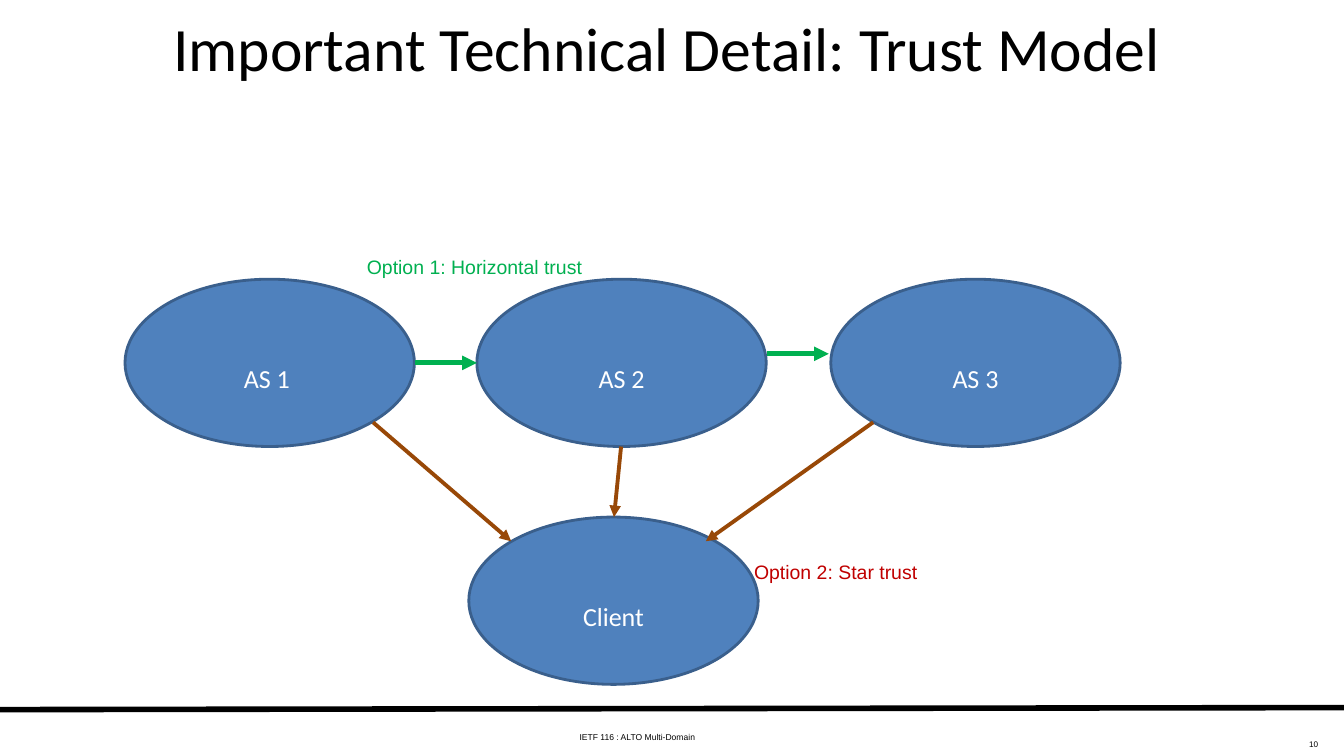
"""Build the trust model slide: three AS domains and a client."""
from typing import NamedTuple

from lxml import etree
from pptx import Presentation
from pptx import util as u
from pptx.dml.color import RGBColor
from pptx.enum import shapes, text
from pptx.oxml import parse_xml
from pptx.oxml.ns import qn

COLORS = {
    "ink": "000000", "paper": "FFFFFF", "node": "4F81BD", "edge": "3A5F8C",
    "horizontal": "00B050", "star": "984807", "star_label": "C00000",
}
NODE_W, NODE_H = 2.87, 1.66
AS_TOP = 2.77
SHADOW = (
    '<a:effectLst xmlns:a="http://schemas.openxmlformats.org/drawingml/2006/main">'
    '<a:outerShdw blurRad="38100" dist="38100" dir="2700000" algn="tl">'
    '<a:srgbClr val="000000"><a:alpha val="43000"/></a:srgbClr>'
    '</a:outerShdw></a:effectLst>'
)


class Node(NamedTuple):
    label: str
    left: float
    top: float


class Line(NamedTuple):
    start: tuple[float, float]
    end: tuple[float, float]
    color: str
    width: float
    arrow: bool = True


class Label(NamedTuple):
    words: str
    box: tuple[float, float, float, float]
    size: float
    color: str
    align: text.PP_ALIGN = text.PP_ALIGN.LEFT


NODES = [
    Node("AS 1 ", 1.24, AS_TOP),
    Node("AS 2", 4.73, AS_TOP),
    Node("AS 3", 8.24, AS_TOP),
    Node("Client", 4.65, 5.13),
]
LINES = [
    Line((0, 7.04), (13.33, 7.02), "ink", 4, False),
    Line((4.12, 3.6), (4.73, 3.6), "horizontal", 3.5),
    Line((7.61, 3.51), (8.22, 3.51), "horizontal", 3.5),
    Line((3.7, 4.19), (5.07, 5.37), "star", 2.75),
    Line((6.16, 4.43), (6.09, 5.13), "star", 2.75),
    Line((8.66, 4.19), (7, 5.37), "star", 2.75),
]
LABELS = [
    Label("IETF 116 : ALTO Multi-Domain", (5.65, 7.11, 2.22, 0.28), 10.5, "ink"),
    Label("10", (10.39, 7.19, 2.78, 0.33), 10, "ink", text.PP_ALIGN.RIGHT),
    Label("Option 1: Horizontal trust", (3.54, 2.26, 3.93, 0.5), 24, "horizontal"),
    Label("Option 2: Star trust", (7.38, 5.28, 3.12, 0.5), 24, "star_label"),
]


def rgb(name: str) -> RGBColor:
    """Return the named colour."""
    return RGBColor.from_string(COLORS[name])


def write(sp, words: str, font: str, size: float, color: str,
          align: text.PP_ALIGN, baseline: int = -25000):
    """Put one formatted paragraph in a shape and return its run."""
    tf = sp.text_frame
    tf.text = words
    tf.word_wrap = True
    p = tf.paragraphs[0]
    p.alignment = align
    r = p.runs[0]
    r.font.name, r.font.size = font, u.Pt(size)
    r.font.color.rgb = rgb(color)
    if baseline:
        r.font._element.set("baseline", str(baseline))
    return r


def add_title(s, words: str) -> None:
    """Place and format the title with its text shadow."""
    sp = s.shapes.title
    sp.left, sp.top, sp.width, sp.height = map(u.Inches, (0.37, 0.09, 12.49, 0.75))
    r = write(sp, words, "Calibri", 44, "ink", text.PP_ALIGN.CENTER, 0)
    sp.text_frame.vertical_anchor = text.MSO_ANCHOR.MIDDLE
    sp.text_frame.auto_size = text.MSO_AUTO_SIZE.NONE
    r.font._element.find(qn("a:solidFill")).addnext(parse_xml(SHADOW))


def add_node(s, node: Node) -> None:
    """Draw one labelled ellipse."""
    sp = s.shapes.add_shape(
        shapes.MSO_SHAPE.OVAL,
        *map(u.Inches, (node.left, node.top, NODE_W, NODE_H)))
    sp.shadow.inherit = False
    sp.fill.solid()
    sp.fill.fore_color.rgb = rgb("node")
    sp.line.color.rgb = rgb("edge")
    sp.line.width = u.Pt(2)
    write(sp, node.label, "Calibri", 32, "paper", text.PP_ALIGN.CENTER)
    sp.text_frame.vertical_anchor = text.MSO_ANCHOR.MIDDLE


def add_line(s, line: Line) -> None:
    """Draw one straight line, with an arrowhead where wanted."""
    sp = s.shapes.add_connector(
        shapes.MSO_CONNECTOR.STRAIGHT, *map(u.Inches, line.start + line.end))
    sp.line.color.rgb = rgb(line.color)
    sp.line.width = u.Pt(line.width)
    if line.arrow:
        etree.SubElement(sp.line._get_or_add_ln(), qn("a:tailEnd"), type="triangle")
    etree.SubElement(sp._element.spPr, qn("a:effectLst"))


def add_label(s, label: Label) -> None:
    """Add one text box."""
    sp = s.shapes.add_textbox(*map(u.Inches, label.box))
    write(sp, label.words, "Arial", label.size, label.color, label.align)


def main() -> None:
    """Build and save the slide."""
    prs = Presentation()
    prs.slide_width, prs.slide_height = u.Inches(13.33), u.Inches(7.5)
    s = prs.slides.add_slide(prs.slide_layouts[5])
    add_title(s, "Important Technical Detail: Trust Model")
    for node in NODES:
        add_node(s, node)
    for line in LINES:
        add_line(s, line)
    for label in LABELS:
        add_label(s, label)
    prs.save("out.pptx")


if __name__ == "__main__":
    main()
